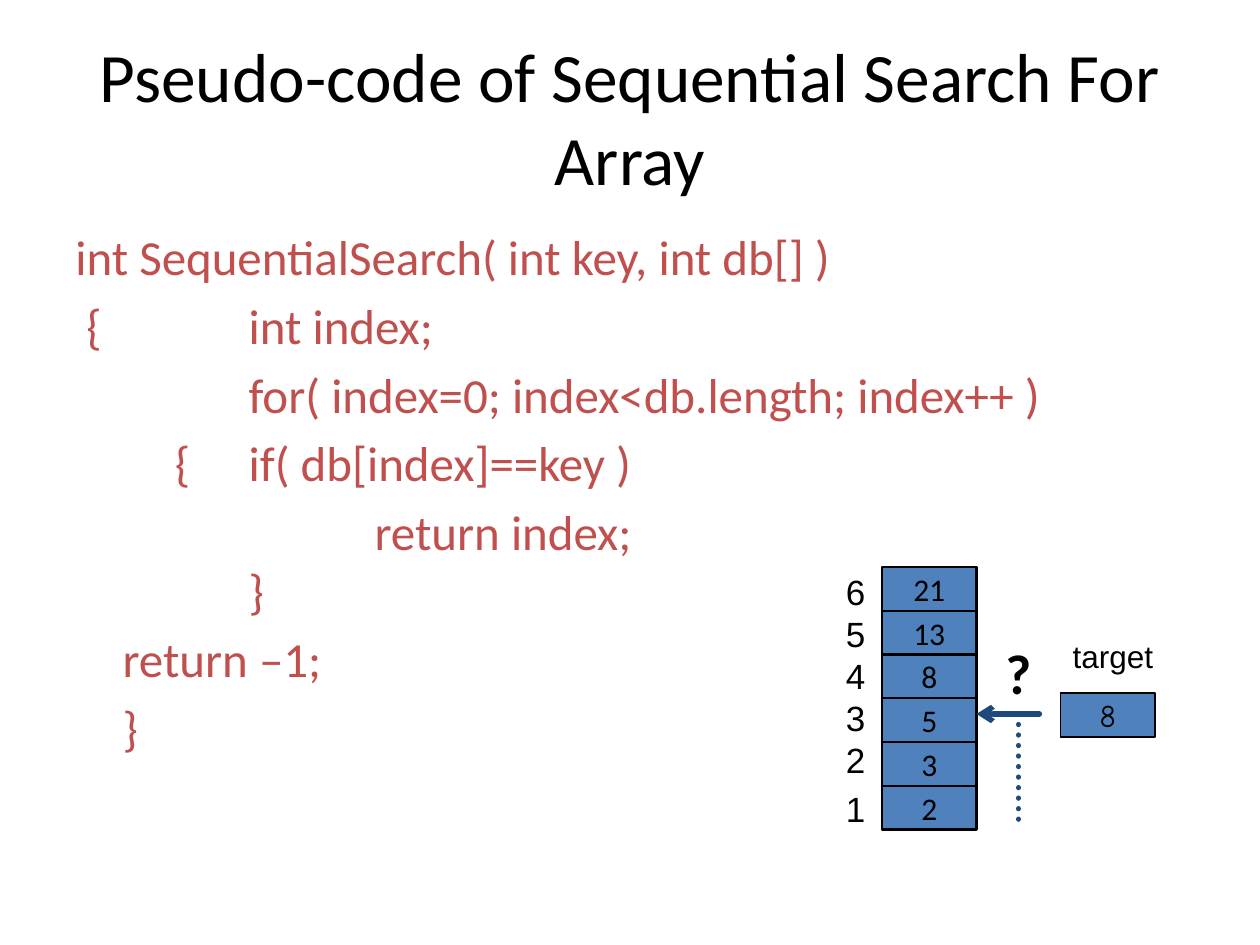
from lxml import etree
from pptx import Presentation
from pptx.dml.color import RGBColor
from pptx.enum import dml, shapes, text
from pptx.oxml.ns import qn
from pptx.util import Pt

deck = Presentation()
deck.slide_width, deck.slide_height = Pt(720), Pt(540)
slide = deck.slides.add_slide(deck.slide_layouts[6])
parts = slide.shapes


def color(code):
    return RGBColor.from_string(code)


def write(words, left, top, width, height, shape=None, fill=None, line=1.25,
          size=18, font="Calibri", ink="000000", bold=False, wrap=False,
          align=text.PP_ALIGN.CENTER, anchor=text.MSO_ANCHOR.MIDDLE,
          before=0, hanging=0, tab=72):
    """Place words, a list of paragraphs, in a text box or a preset shape."""
    area = Pt(left), Pt(top), Pt(width), Pt(height)
    if shape is None:
        box = parts.add_textbox(*area)
    else:
        box = parts.add_shape(shape, *area)
        box.shadow.inherit = False
        if fill:
            box.fill.solid()
            box.fill.fore_color.rgb = color(fill)
            box.line.color.rgb = color("000000")
            box.line.width = Pt(line)
        else:
            box.fill.background()
            box.line.fill.background()
    frame = box.text_frame
    frame.word_wrap = wrap
    frame.vertical_anchor = anchor
    for i, content in enumerate(words):
        para = frame.add_paragraph() if i else frame.paragraphs[0]
        para.text = content
        para.alignment = align
        para.space_before = Pt(before if i else 0)
        if hanging:
            props = para._p.get_or_add_pPr()
            props.set("marL", str(Pt(hanging)))
            props.set("indent", str(-Pt(hanging)))
            props.set("defTabSz", str(Pt(tab)))
        for run in para.runs:
            run.font.size = Pt(size)
            run.font.name = font
            run.font.bold = bold
            run.font.color.rgb = color(ink)


# Title
write(["Pseudo-code of Sequential Search For Array"], 36, 21.6, 648, 90,
      size=39.6, wrap=True)

# Pseudo-code
code = [
    "int SequentialSearch( int key, int db[] )",
    " {\t\tint index;",
    "\t\tfor( index=0; index<db.length; index++ )",
    "         {\tif( db[index]==key )",
    "\t\t\treturn index;\v\t}",
    "   \treturn –1;",
    "\t}",
]
write(code, 36, 126, 648, 356.4, size=28, ink="C0504D", wrap=True,
      align=text.PP_ALIGN.LEFT, anchor=text.MSO_ANCHOR.TOP,
      before=5.6, hanging=27)

# Array cells with their position numbers; the lowest number sits apart
array_top, cell_height, cell_fill = 324, 25, "4F81BD"
for i, value in enumerate([21, 13, 8, 5, 3, 2]):
    number_top = array_top + 24 * i if i < 5 else 448
    write([str(6 - i)], 480, number_top, 18, 28, size=20, font="Arial",
          shape=shapes.MSO_SHAPE.ROUNDED_RECTANGLE)
    write([str(value)], 504, array_top + cell_height * i, 54, cell_height,
          shape=shapes.MSO_SHAPE.RECTANGLE, fill=cell_fill)

# Comparison arrow and dotted trail of earlier comparisons
pointer = parts.add_connector(shapes.MSO_CONNECTOR.STRAIGHT,
                              Pt(558), Pt(408), Pt(594), Pt(408))
trail = parts.add_connector(shapes.MSO_CONNECTOR.STRAIGHT,
                            Pt(582), Pt(408), Pt(582), Pt(474))
for stroke in (pointer, trail):
    stroke.line.color.rgb = color("1F497D")
    stroke.line.width = Pt(3)
    stroke.line._get_or_add_ln().set("cap", "rnd")
    etree.SubElement(stroke._element.spPr, qn("a:effectLst"))
trail.line.dash_style = dml.MSO_LINE.ROUND_DOT
etree.SubElement(pointer.line._get_or_add_ln(), qn("a:headEnd"), type="arrow")
write(["?"], 567, 372, 30, 24, size=32, bold=True)

# Search target
write(["target"], 600, 360, 72, 30, font="Arial")
write(["8"], 606, 396, 54, cell_height, font="Comic Neue", line=1,
      shape=shapes.MSO_SHAPE.RECTANGLE, fill=cell_fill)

deck.save("out.pptx")
